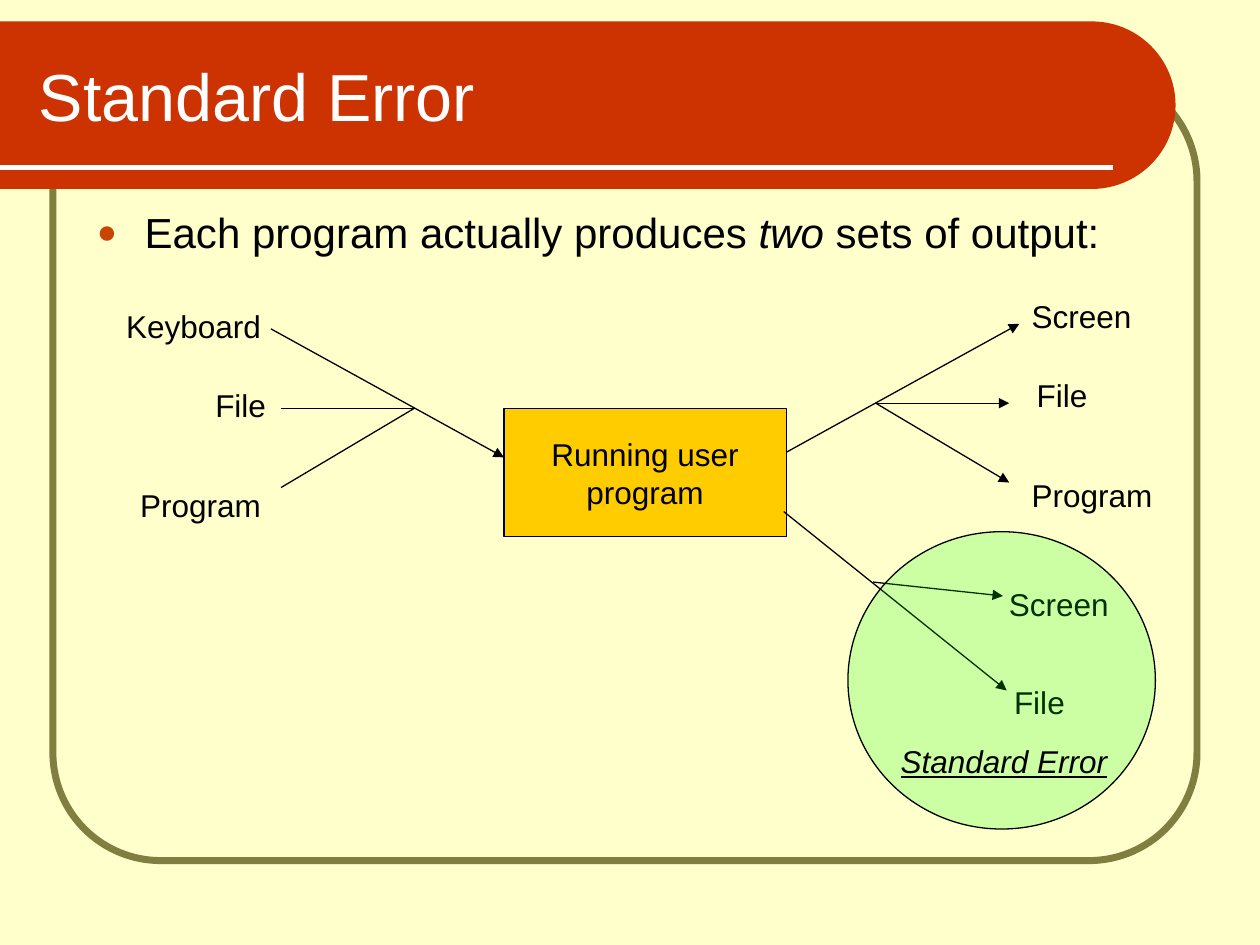
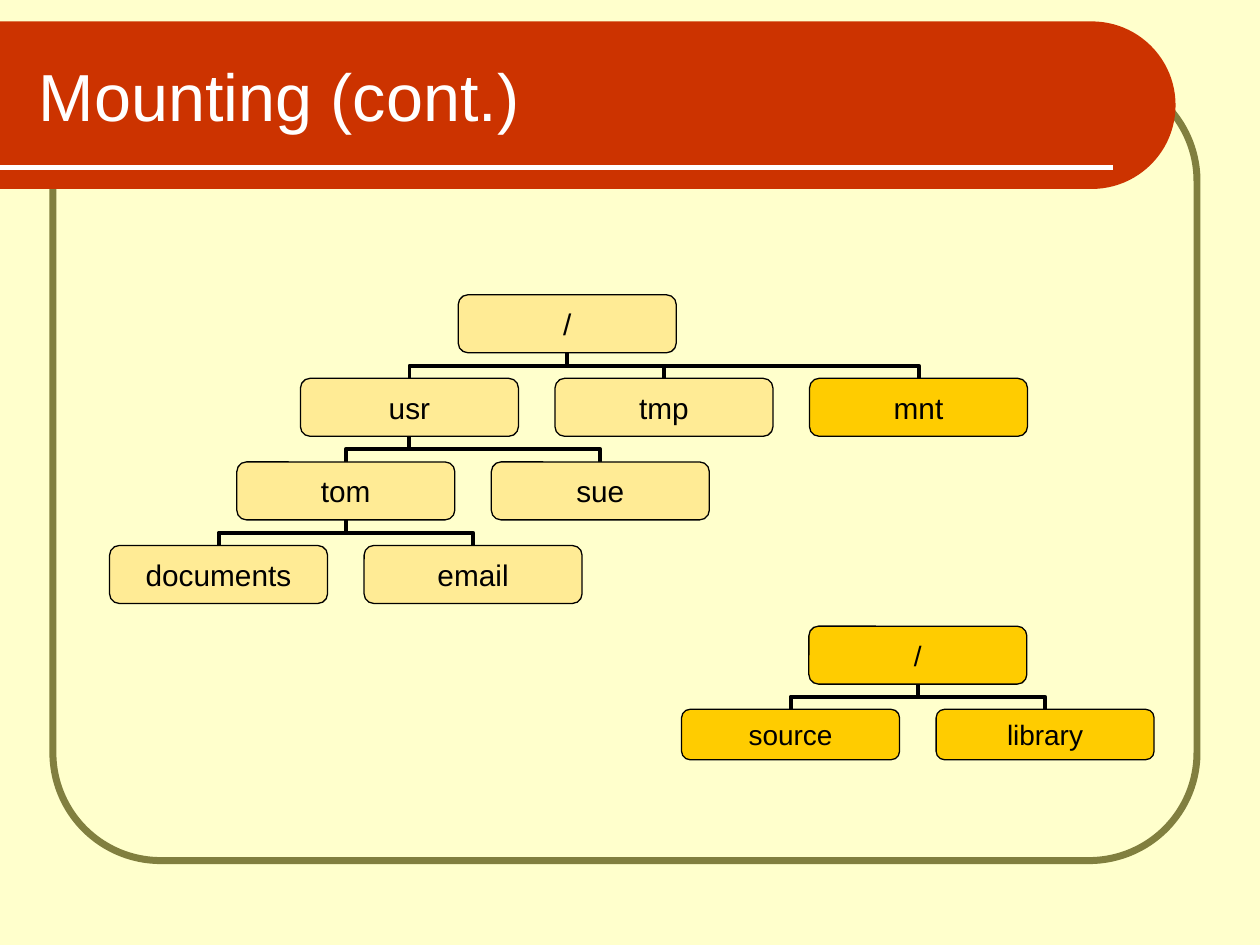
import pptx
import pptx.util
import pptx.dml.color
import pptx.enum.shapes
import pptx.enum.text
import pptx.oxml
import pptx.oxml.ns
from dataclasses import dataclass

Inches = pptx.util.Inches
Shape = pptx.enum.shapes.MSO_SHAPE
Connector = pptx.enum.shapes.MSO_CONNECTOR
Align = pptx.enum.text.PP_ALIGN
Anchor = pptx.enum.text.MSO_ANCHOR
qn = pptx.oxml.ns.qn


@dataclass(frozen=True)
class Theme:
    font: str = "Arial"
    paper: str = "FFFFCC"
    band: str = "CC3300"
    frame: str = "817F3F"
    white: str = "FFFFFF"
    ink: str = "000000"
    bullet: str = "C94503"
    gold: str = "FFCC00"
    pale: str = "FFEB95"
    green: str = "00FF00"
    title_size: int = 38
    body_size: int = 24
    label_size: int = 18
    tree_size: int = 17
    mount_size: int = 16
    thin: float = 0.74
    branch: float = 2.24


@dataclass(frozen=True)
class Box:
    left: float
    top: float
    width: float
    height: float

    def inches(self):
        return [Inches(n) for n in (self.left, self.top, self.width, self.height)]

    def inner(self, left, top, width, height):
        return Box(self.left + left, self.top + top, width, height)


THEME = Theme()


def color(value):
    return pptx.dml.color.RGBColor.from_string(value)


def add_xml(parent, tag, **attributes):
    child = parent.makeelement(qn(tag), attributes)
    parent.append(child)
    return child


def add_span(para, text, size, ink=THEME.ink, italic=False, underline=False):
    span = para.add_run()
    span.text = text
    span.font.name = THEME.font
    span.font.size = pptx.util.Pt(size)
    span.font.color.rgb = color(ink)
    span.font.italic = italic
    span.font.underline = underline


def add_text(page, box, align=Align.LEFT, anchor=Anchor.MIDDLE):
    frame = page.shapes.add_textbox(*box.inches()).text_frame
    frame.word_wrap = True
    frame.vertical_anchor = anchor
    frame.paragraphs[0].alignment = align
    return frame.paragraphs[0]


def add_label(page, box, text, align=Align.LEFT):
    add_span(add_text(page, box, align), text, THEME.label_size)


def add_shape(page, kind, box, fill=None, line=THEME.ink, weight=THEME.thin):
    shape = page.shapes.add_shape(kind, *box.inches())
    shape.shadow.inherit = False
    if fill:
        shape.fill.solid()
        shape.fill.fore_color.rgb = color(fill)
    else:
        shape.fill.background()
    if line:
        shape.line.color.rgb = color(line)
        shape.line.width = pptx.util.Pt(weight)
    else:
        shape.line.fill.background()
    return shape


def add_line(page, start, end, ink=THEME.ink, weight=THEME.thin, arrow=False,
             kind=Connector.STRAIGHT):
    line = page.shapes.add_connector(kind, *[Inches(n) for n in (*start, *end)])
    line.line.color.rgb = color(ink)
    line.line.width = pptx.util.Pt(weight)
    properties = line._element.spPr
    if arrow:
        add_xml(properties.find(qn("a:ln")), "a:tailEnd", type="triangle")
    add_xml(properties, "a:effectLst")
    return line


def add_elbow(page, parent, child):
    run = parent[0] - child[0]
    drop = child[1] - parent[1]
    middle_x = (parent[0] + child[0]) / 2
    middle_y = (parent[1] + child[1]) / 2
    elbow = add_line(page, (middle_x - drop / 2, middle_y - run / 2),
                     (middle_x + drop / 2, middle_y + run / 2),
                     weight=THEME.branch, kind=Connector.ELBOW)
    elbow._element.spPr.find(qn("a:xfrm")).set("rot", "5400000")


def add_page(deck, title):
    page = deck.slides.add_slide(deck.slide_layouts[6])
    page.background.fill.solid()
    page.background.fill.fore_color.rgb = color(THEME.paper)
    frame = add_shape(page, Shape.ROUNDED_RECTANGLE, Box(0.42, 0.58, 9.08, 6.25),
                      line=THEME.frame, weight=4)
    frame.adjustments[0] = 0.137
    draw_header(page, Box(0, 0.17, 9.33, 1.33), title)
    return page


def draw_header(page, box, title):
    upright = box.inner((box.width - box.height) / 2, (box.height - box.width) / 2,
                        box.height, box.width)
    band = add_shape(page, Shape.ROUND_2_SAME_RECTANGLE, upright, THEME.band, None)
    band.adjustments[0] = 0.5
    band.rotation = 90
    rule = box.top + 1.16
    add_line(page, (box.left, rule), (box.left + 8.83, rule), THEME.white, 3)
    add_span(add_text(page, box.inner(0.21, 0.08, 8.77, 1)), title,
             THEME.title_size, THEME.white)


def draw_bullet(page, box, spans):
    para = add_text(page, box, anchor=Anchor.TOP)
    para.space_before = pptx.util.Pt(6)
    properties = para._p.get_or_add_pPr()
    properties.set("marL", str(Inches(0.38)))
    properties.set("indent", str(Inches(-0.38)))
    add_xml(add_xml(properties, "a:buClr"), "a:srgbClr", val=THEME.bullet)
    add_xml(properties, "a:buSzPct", val="80000")
    add_xml(properties, "a:buFont", typeface=THEME.font)
    add_xml(properties, "a:buChar", char="●")
    for text, italic in spans:
        add_span(para, text, THEME.body_size, italic=italic)


def draw_program(page, box):
    frame = add_shape(page, Shape.RECTANGLE, box, THEME.gold).text_frame
    frame.vertical_anchor = Anchor.MIDDLE
    para = frame.paragraphs[0]
    para.alignment = Align.CENTER
    add_span(para, "Running user", THEME.label_size)
    para.add_line_break()
    add_span(para, "program", THEME.label_size)


def draw_fan(page, box, labels, names, incoming=False):
    def point(reach, down):
        x = box.left + (box.width - reach if incoming else reach)
        return x, box.top + down

    near, far = point(0, 1.02), point(box.width, 0)
    fork = point(0.71, 0.63)
    if incoming:
        add_line(page, far, near, arrow=True)
    else:
        add_line(page, near, far, arrow=True)
    for down in (0.63, box.height):
        add_line(page, fork, point(1.77, down), arrow=not incoming)
    align = Align.RIGHT if incoming else Align.LEFT
    for name, (shift, down) in zip(names, ((0, 0), (0.04, 0.63), (0, 1.42))):
        add_label(page, labels.inner(shift, down, 1.46, 0.43), name, align)


def draw_errors(page, box):
    add_line(page, (box.left, box.top), (box.left + 1.77, box.top + 1.42), arrow=True)
    add_line(page, (box.left + 0.71, box.top + 0.56),
             (box.left + 1.74, box.top + 0.67), arrow=True)
    add_label(page, box.inner(1.73, 1.3, 1.46, 0.43), "File")
    add_label(page, box.inner(1.69, 0.52, 1.46, 0.43), "Screen")
    circle = add_shape(page, Shape.OVAL, box.inner(0.51, 0.16, 2.44, 2.36), THEME.green)
    tint = circle._element.spPr.find(qn("a:solidFill"))[0]
    add_xml(tint, "a:alpha", val="20000")
    para = add_text(page, box.inner(0.83, 1.78, 2.13, 0.4))
    add_span(para, "Standard Error", THEME.label_size, italic=True, underline=True)


def draw_tree(page, box, nodes, size, leaf_height=0.46):
    node_width, node_height, column_step = 1.73, 0.46, 2.02
    depth = max(level for _, _, level, _, _ in nodes)
    level_step = (box.height - leaf_height) / depth
    places = {}
    for name, column, level, _, _ in nodes:
        height = leaf_height if level == depth else node_height
        places[name] = box.inner(column * column_step, level * level_step,
                                 node_width, height)
    for name, _, _, parent, _ in nodes:
        if parent:
            above, below = places[parent], places[name]
            add_elbow(page, (above.left + node_width / 2, above.top + above.height),
                      (below.left + node_width / 2, below.top))
    for name, _, _, _, fill in nodes:
        shape = add_shape(page, Shape.ROUNDED_RECTANGLE, places[name], fill)
        frame = shape.text_frame
        frame.margin_left = frame.margin_right = Inches(0.08)
        frame.margin_top = frame.margin_bottom = Inches(0.04)
        frame.vertical_anchor = Anchor.MIDDLE
        frame.paragraphs[0].alignment = Align.CENTER
        add_span(frame.paragraphs[0], name, size)


def build_streams_page(deck):
    page = add_page(deck, "Standard Error")
    draw_bullet(page, Box(0.67, 1.59, 8.86, 5.27),
                [("Each program actually produces ", False), ("two ", True),
                 ("sets of output:", False)])
    draw_program(page, Box(4, 3.24, 2.24, 1.02))
    draw_fan(page, Box(6.24, 2.57, 1.85, 1.26), Box(8.09, 2.29, 1.5, 1.85),
             ["Screen", "File", "Program"])
    draw_fan(page, Box(2.15, 2.61, 1.85, 1.26), Box(0.71, 2.37, 1.5, 1.85),
             ["Keyboard", "File", "Program"], incoming=True)
    draw_errors(page, Box(6.22, 4.06, 2.95, 2.52))


def build_mounting_page(deck):
    page = add_page(deck, "Mounting (cont.)")
    draw_tree(page, Box(5.41, 4.97, 3.75, 1.06),
              [("/", 0.5, 0, None, THEME.gold),
               ("source", 0, 1, "/", THEME.gold),
               ("library", 1, 1, "/", THEME.gold)],
              THEME.mount_size, leaf_height=0.4)
    draw_tree(page, Box(0.87, 2.34, 7.28, 2.45),
              [("/", 1.37, 0, None, THEME.pale),
               ("usr", 0.75, 1, "/", THEME.pale),
               ("tmp", 1.75, 1, "/", THEME.pale),
               ("mnt", 2.75, 1, "/", THEME.gold),
               ("tom", 0.5, 2, "usr", THEME.pale),
               ("sue", 1.5, 2, "usr", THEME.pale),
               ("documents", 0, 3, "tom", THEME.pale),
               ("email", 1, 3, "tom", THEME.pale)],
              THEME.tree_size)


deck = pptx.Presentation()
deck.slide_width, deck.slide_height = Inches(10), Inches(7.5)
build_streams_page(deck)
build_mounting_page(deck)
deck.save("out.pptx")
